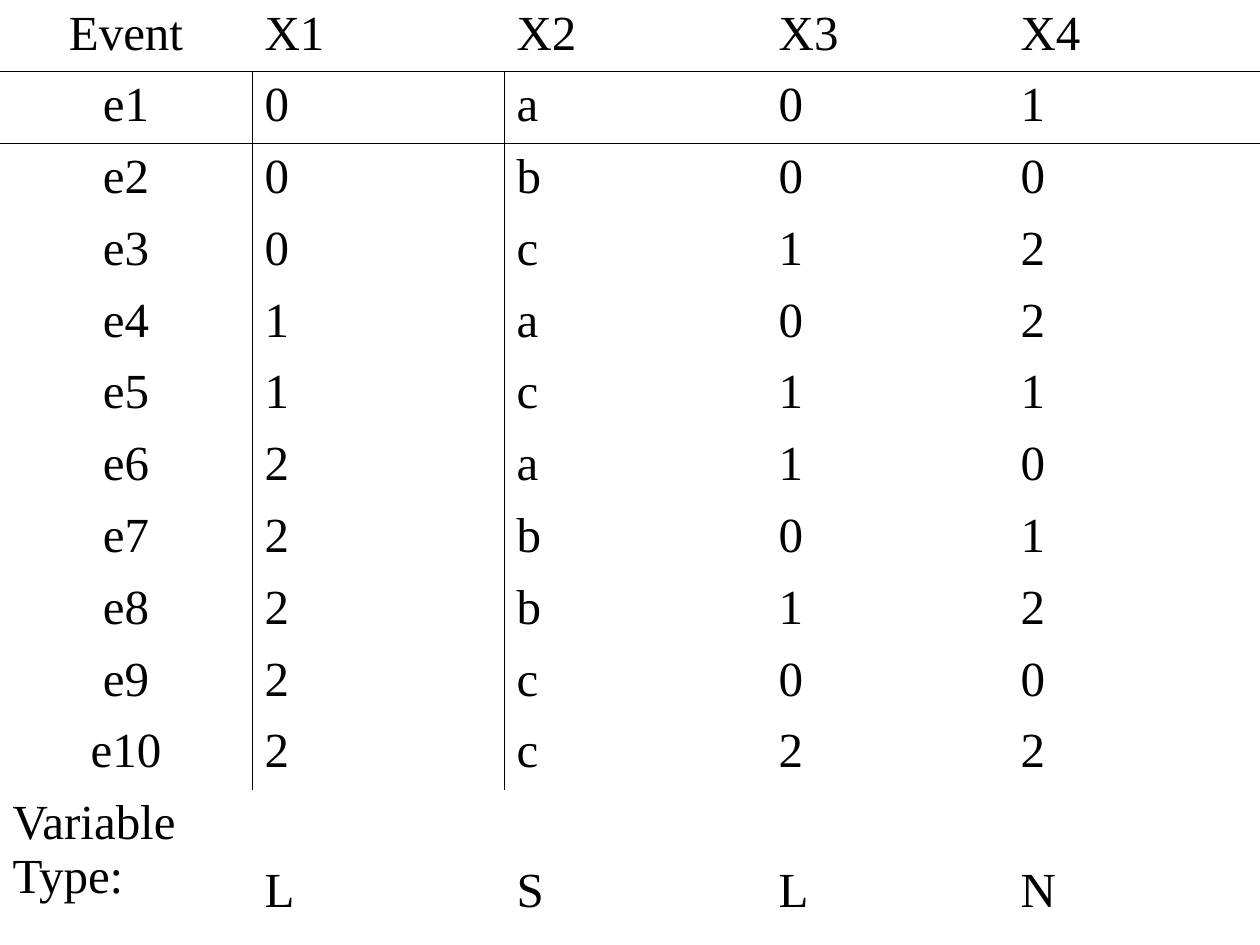
from lxml import etree
from pptx import Presentation
from pptx import util as u
from pptx.dml.color import RGBColor
from pptx.enum import text
from pptx.oxml.ns import qn

PLAIN = "{2D5ABB26-0587-4C30-8999-92F81FD0307C}"
HEAD = ["Event", "X1", "X2", "X3", "X4"]
EVENTS = ["0a01", "0b00", "0c12", "1a02", "1c11",
          "2a10", "2b01", "2b12", "2c00", "2c22"]
TYPES = ["Variable Type:", "L", "S", "L", "N"]


def color(code):
    return RGBColor.from_string(code)


def write(frame, words, font="Times New Roman", size=28, ink="000000",
          align=text.PP_ALIGN.LEFT):
    para = frame.paragraphs[0]
    para.alignment = align
    run = para.add_run()
    run.text = words
    run.font.name = font
    run.font.size = u.Pt(size)
    run.font.color.rgb = color(ink)


class Deck:
    def __init__(self, wide, high, ink="000000", line=0.45):
        self.ink, self.line = ink, line
        self.show = Presentation()
        self.show.slide_width = u.Inches(wide)
        self.show.slide_height = u.Inches(high)
        self.slide = self.show.slides.add_slide(self.show.slide_layouts[6])

    def border(self, cell, sides):
        props = cell._tc.get_or_add_tcPr()
        for place, side in enumerate(s for s in "LRTB" if s in sides):
            edge = etree.Element(qn(f"a:ln{side}"), w=str(u.Pt(self.line)))
            fill = etree.SubElement(edge, qn("a:solidFill"))
            etree.SubElement(fill, qn("a:srgbClr"), val=self.ink)
            props.insert(place, edge)

    def table(self, rows, widths, heights):
        frame = self.slide.shapes.add_table(
            len(rows), len(widths), 0, 0,
            u.Inches(sum(widths)), u.Inches(sum(heights)))
        grid = frame.table
        grid.first_row = grid.horz_banding = False
        grid._tbl.tblPr.find(qn("a:tableStyleId")).text = PLAIN
        for col, width in zip(grid.columns, widths):
            col.width = u.Inches(width)
        for row, height in zip(grid.rows, heights):
            row.height = u.Inches(height)
        last = len(rows) - 1
        for r, row in enumerate(rows):
            for c, words in enumerate(row):
                cell = grid.cell(r, c)
                cell.fill.background()
                cell.margin_left = cell.margin_right = u.Inches(0.1)
                low = r == last and c > 0
                cell.margin_top = u.Inches(0.59 if low else 0.05)
                cell.margin_bottom = u.Inches(0.05)
                mid = c == 0 and r < last
                write(cell.text_frame, words, ink=self.ink,
                      align=text.PP_ALIGN.CENTER if mid else text.PP_ALIGN.LEFT)
                sides = {0: "B", 1: "T"}.get(r, "")
                if 0 < r < last:
                    sides += {0: "R", 1: "L"}.get(c, "")
                self.border(cell, sides)

    def save(self):
        self.show.save("out.pptx")


def main():
    deck = Deck(10, 7.5)
    body = [[f"e{n}", *marks] for n, marks in enumerate(EVENTS, 1)]
    deck.table([HEAD, *body, TYPES], [2, 2, 2.08, 1.92, 2],
               [0.57] * (len(body) + 1) + [1.13])
    deck.save()


if __name__ == "__main__":
    main()
